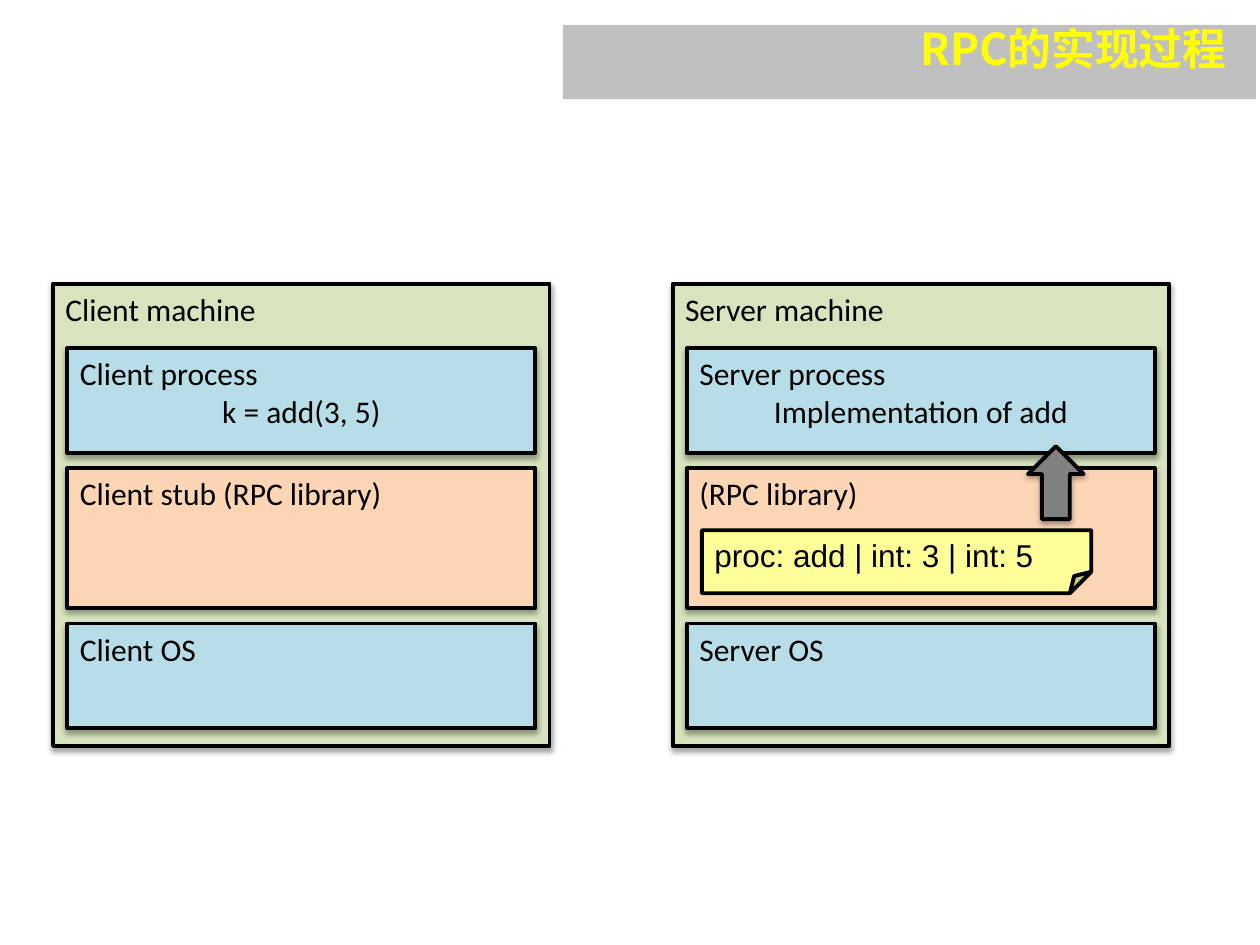
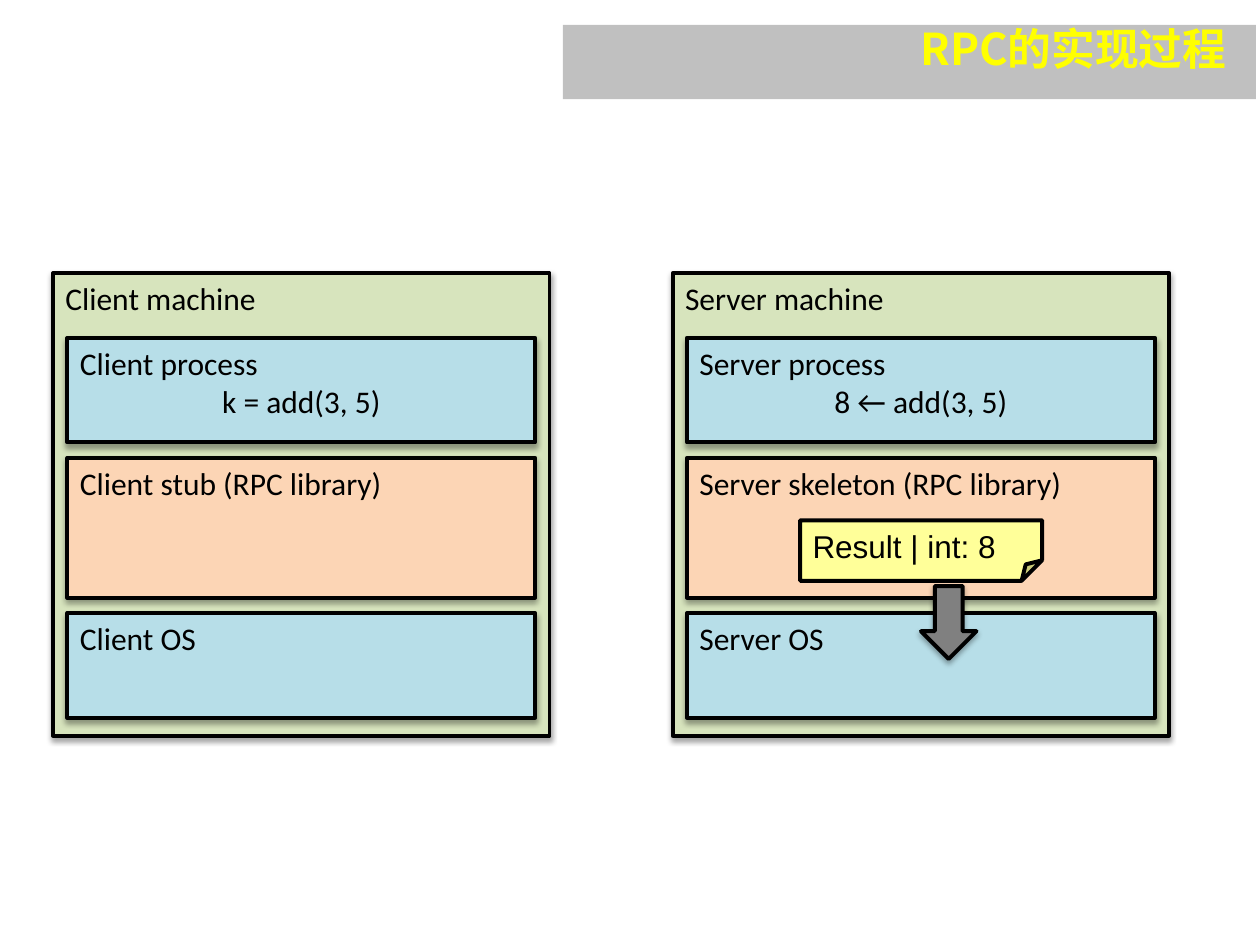
import pptx
import pptx.util
import pptx.dml.color
import pptx.enum.shapes
import pptx.enum.text
import pptx.oxml.ns
from dataclasses import dataclass
from lxml import etree

Cm = pptx.util.Cm
Pt = pptx.util.Pt
Shape = pptx.enum.shapes.MSO_SHAPE
Align = pptx.enum.text.PP_ALIGN
Anchor = pptx.enum.text.MSO_ANCHOR
qn = pptx.oxml.ns.qn

# Content: places are in centimetres
TITLE = "RPC的实现过程"
CLIENT = {
    "machine": "Client machine",
    "layers": [["Client process", "k = add(3, 5)"], ["Client stub (RPC library)"], ["Client OS"]],
}
PAGES = [
    {
        "top": 5.72,
        "server": {
            "machine": "Server machine",
            "layers": [["Server process", "Implementation of add"], ["(RPC library)"], ["Server OS"]],
        },
        "message": ("proc: add | int: 3 | int: 5", (14.15, 10.69, 7.85, 1.27)),
        "arrow": (20.55, 9.17, 270),
    },
    {
        "top": 5.51,
        "server": {
            "machine": "Server machine",
            "layers": [["Server process", "8 ← add(3, 5)"], ["Server skeleton (RPC library)"], ["Server OS"]],
        },
        "message": ("Result | int: 8", (16.13, 10.49, 4.88, 1.22)),
        "arrow": (18.39, 11.99, 90),
    },
]


@dataclass(frozen=True)
class Theme:
    band: str = "C0C0C0"
    title: str = "FFFF00"
    machine: str = "D7E4BD"
    system: str = "B7DEE8"
    library: str = "FCD5B5"
    message: str = "FFFF99"
    arrow: str = "808080"
    ink: str = "000000"
    body_font: str = "Calibri"
    message_font: str = "Arial"
    title_font: str = "Noto Sans CJK SC"
    body_size: int = 18
    title_size: int = 25
    outline: float = 2.25


THEME = Theme()

# Layout rules
MACHINE_LEFTS = (1.07, 13.56)
MACHINE_SIZE = (10.01, 9.32)
INSET = 0.29
HEADER = 1.3
GAP = 0.31
LAYERS = [(THEME.system, 2.11), (THEME.library, 2.82), (THEME.system, 2.11)]
ARROW_SIZE = (1.47, 1.12)


def rgb(value):
    return pptx.dml.color.RGBColor.from_string(value)


def write(box, text, *, font=THEME.body_font, size=THEME.body_size, color=THEME.ink,
          bold=False, align=Align.LEFT, anchor=Anchor.TOP):
    """Add one paragraph of text, after any text already in the box."""
    frame = box.text_frame
    frame.word_wrap = True
    frame.vertical_anchor = anchor
    para = frame.add_paragraph() if frame.text else frame.paragraphs[0]
    para.alignment = align
    span = para.add_run()
    span.text = text
    span.font.name = font
    span.font.size = Pt(size)
    span.font.bold = bold
    span.font.color.rgb = rgb(color)
    east_asian = etree.Element(qn("a:ea"), typeface=font)
    span.font._element.find(qn("a:latin")).addnext(east_asian)


def draw(page, kind, place, fill, *, outlined=True, shadow=True):
    box = page.shapes.add_shape(kind, *(Cm(length) for length in place))
    box.fill.solid()
    box.fill.fore_color.rgb = rgb(fill)
    if outlined:
        box.line.color.rgb = rgb(THEME.ink)
        box.line.width = Pt(THEME.outline)
    else:
        box.line.fill.background()
    box.shadow.inherit = False
    if shadow:
        effects = box._element.spPr.find(qn("a:effectLst"))
        outer = etree.SubElement(effects, qn("a:outerShdw"), blurRad="40000", dist="23000",
                                 dir="5400000", rotWithShape="0")
        tint = etree.SubElement(outer, qn("a:srgbClr"), val=THEME.ink)
        etree.SubElement(tint, qn("a:alpha"), val="35000")
    return box


def add_title(page):
    draw(page, Shape.RECTANGLE, (11.35, 0.5, 13.97, 1.5), THEME.band, outlined=False, shadow=False)
    box = page.shapes.add_textbox(Cm(13.34), Cm(0.43), Cm(11.63), Cm(1.07))
    write(box, TITLE, font=THEME.title_font, size=THEME.title_size, color=THEME.title,
          bold=True, align=Align.RIGHT, anchor=Anchor.MIDDLE)


def add_machine(page, left, top, content):
    width, height = MACHINE_SIZE
    machine = draw(page, Shape.RECTANGLE, (left, top, width, height), THEME.machine)
    write(machine, content["machine"])
    # Stack the layers below the machine's name
    layer_top = top + HEADER
    for (fill, layer_height), (name, *calls) in zip(LAYERS, content["layers"]):
        place = (left + INSET, layer_top, width - 2 * INSET, layer_height)
        layer = draw(page, Shape.RECTANGLE, place, fill)
        write(layer, name)
        for call in calls:
            write(layer, call, align=Align.CENTER)
        layer_top += layer_height + GAP


def add_message(page, text, place):
    note = draw(page, Shape.FOLDED_CORNER, place, THEME.message, shadow=False)
    # The size of the fold is set in the geometry's guide list
    geometry = note._element.spPr.find(qn("a:prstGeom"))
    guides = geometry.find(qn("a:avLst"))
    if guides is None:
        guides = etree.SubElement(geometry, qn("a:avLst"))
    etree.SubElement(guides, qn("a:gd"), name="adj", fmla="val 34000")
    write(note, text, font=THEME.message_font)


def add_arrow(page, left, top, rotation):
    arrow = draw(page, Shape.RIGHT_ARROW, (left, top, *ARROW_SIZE), THEME.arrow)
    arrow.rotation = rotation


def main():
    deck = pptx.Presentation()
    deck.slide_width, deck.slide_height = Cm(25.4), Cm(19.05)
    for content in PAGES:
        page = deck.slides.add_slide(deck.slide_layouts[6])
        for left, machine in zip(MACHINE_LEFTS, (CLIENT, content["server"])):
            add_machine(page, left, content["top"], machine)
        add_message(page, *content["message"])
        add_arrow(page, *content["arrow"])
        add_title(page)
    deck.save("out.pptx")


if __name__ == "__main__":
    main()
